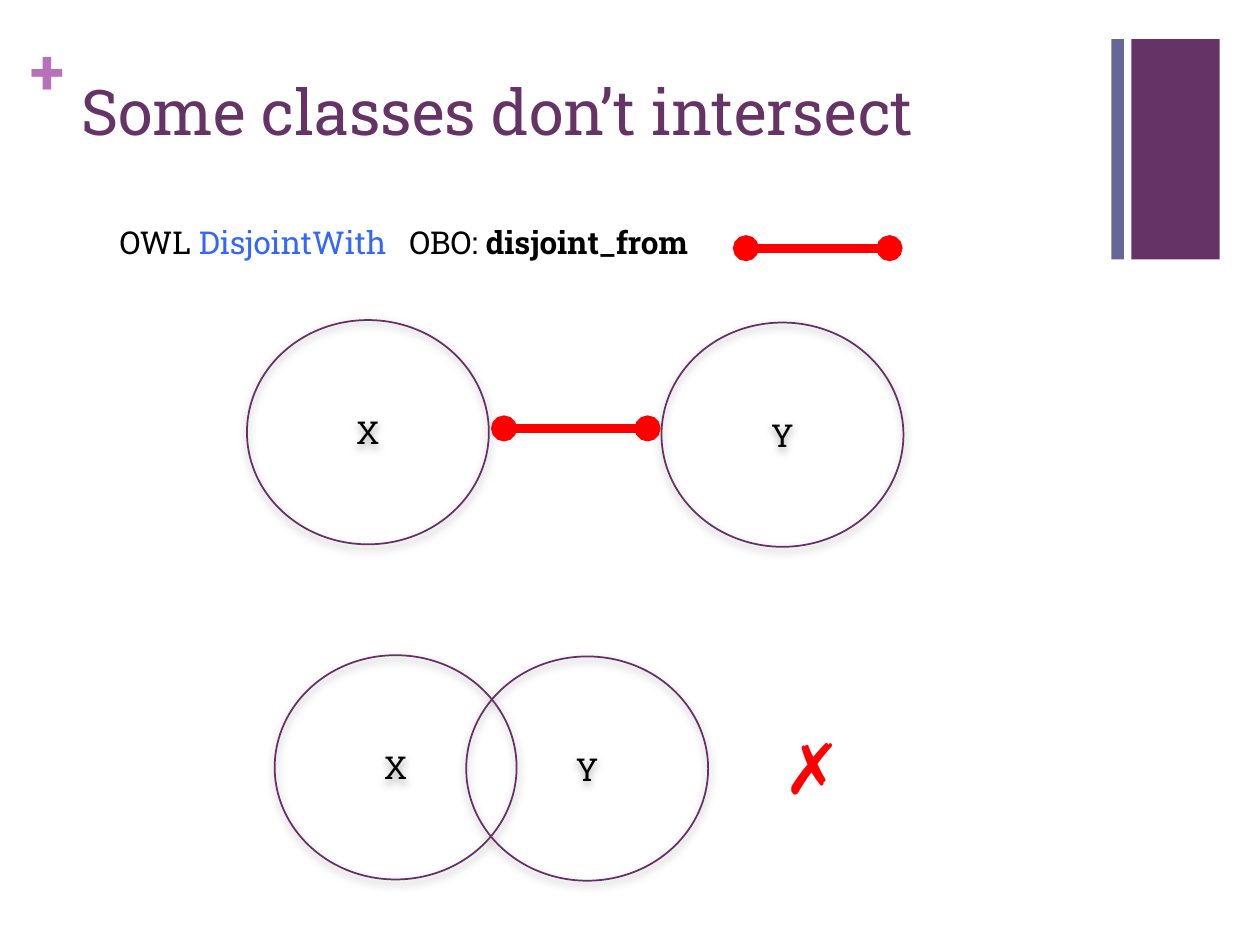
import dataclasses

import pptx
import pptx.dml.color
import pptx.enum.shapes
import pptx.enum.text
import pptx.oxml
import pptx.oxml.ns
import pptx.util

COLOURS = {
    "plum": "663366", "slate": "666699", "orchid": "B870B8",
    "outline": "653165", "shadow": "808080", "red": "FF0000",
    "blue": "3366FF", "black": "000000",
}
FONT = "Roboto Slab"
DRAWING_NS = pptx.oxml.ns.nsdecls("a")
SHAPES = pptx.enum.shapes.MSO_SHAPE

# The slide is a grid of 100 columns by 75 rows
deck = pptx.Presentation()
deck.slide_width = pptx.util.Inches(10)
deck.slide_height = pptx.util.Inches(7.5)
page = deck.slides.add_slide(deck.slide_layouts[6])
COLUMN = deck.slide_width / 100
ROW = deck.slide_height / 75

CIRCLE_WIDTH, CIRCLE_HEIGHT = 19.2, 17.8
LINK_LENGTH = 11.4


@dataclasses.dataclass
class Area:
    left: float
    top: float
    width: float
    height: float

    def lengths(self) -> tuple:
        return (round(self.left * COLUMN), round(self.top * ROW),
                round(self.width * COLUMN), round(self.height * ROW))


@dataclasses.dataclass
class ClassCircle:
    label: str
    left: float
    top: float


def colour(name: str) -> pptx.dml.color.RGBColor:
    return pptx.dml.color.RGBColor.from_string(COLOURS[name])


def add_span(para, text: str, *, size: float = 18, ink: str = "black",
             bold: bool = False, font: str = FONT) -> None:
    span = para.add_run()
    span.text = text
    span.font.size = pptx.util.Pt(size)
    span.font.name = font
    span.font.bold = bold
    span.font.color.rgb = colour(ink)


def add_box(area: Area, inset: bool = True):
    """Add a wrapping text box and return its first paragraph."""
    frame = page.shapes.add_textbox(*area.lengths()).text_frame
    frame.word_wrap = True
    if not inset:
        frame.margin_left = frame.margin_right = 0
        frame.margin_top = frame.margin_bottom = 0
    return frame.paragraphs[0]


def add_bar(area: Area, fill: str) -> None:
    bar = page.shapes.add_shape(SHAPES.RECTANGLE, *area.lengths())
    bar.shadow.inherit = False
    bar.fill.solid()
    bar.fill.fore_color.rgb = colour(fill)
    bar.line.fill.background()


def add_circle(circle: ClassCircle) -> None:
    area = Area(circle.left, circle.top, CIRCLE_WIDTH, CIRCLE_HEIGHT)
    oval = page.shapes.add_shape(SHAPES.OVAL, *area.lengths())
    oval.fill.background()
    oval.line.color.rgb = colour("outline")
    oval.line.width = pptx.util.Pt(1)
    oval.shadow.inherit = False
    effects = oval._element.spPr.find(pptx.oxml.ns.qn("a:effectLst"))
    effects.append(pptx.oxml.parse_xml(
        f'<a:outerShdw {DRAWING_NS} blurRad="{pptx.util.Pt(5)}" '
        f'dist="{pptx.util.Pt(2)}" dir="5400000" rotWithShape="0">'
        f'<a:srgbClr val="{COLOURS["shadow"]}"><a:alpha val="75000"/>'
        '</a:srgbClr></a:outerShdw>'))
    oval.text_frame.vertical_anchor = pptx.enum.text.MSO_ANCHOR.MIDDLE
    para = oval.text_frame.paragraphs[0]
    para.alignment = pptx.enum.text.PP_ALIGN.CENTER
    add_span(para, circle.label)


def add_disjoint_link(left: float, top: float) -> None:
    x, y, length, _ = Area(left, top, LINK_LENGTH, 0).lengths()
    link = page.shapes.add_connector(
        pptx.enum.shapes.MSO_CONNECTOR.STRAIGHT, x, y, x + length, y)
    link.line.color.rgb = colour("red")
    link.line.width = pptx.util.Pt(5)
    for end in ("headEnd", "tailEnd"):
        link.line._get_or_add_ln().append(
            pptx.oxml.parse_xml(f'<a:{end} {DRAWING_NS} type="oval"/>'))
    link._element.spPr.append(
        pptx.oxml.parse_xml(f"<a:effectLst {DRAWING_NS}/>"))


# Corner decoration
add_bar(Area(89.8, 3.1, 7, 17.5), "plum")
add_bar(Area(88.2, 3.1, 1, 17.5), "slate")
add_span(add_box(Area(2.4, 2.5, 2.9, 6.1), inset=False), "+",
         size=36, ink="orchid", bold=True)

# Title
add_span(add_box(Area(5.5, 5.3, 82.6, 12.2)),
         "Some classes don’t intersect", size=36, ink="plum")

# Names of the relation, the second one at a tab stop
key = add_box(Area(8.5, 17.2, 47.9, 4))
key._p.get_or_add_pPr().append(pptx.oxml.parse_xml(
    f'<a:tabLst {DRAWING_NS}><a:tab pos="{round(23 * COLUMN)}" algn="l"/>'
    '</a:tabLst>'))
add_span(key, "OWL ")
add_span(key, "DisjointWith\t", ink="blue")
add_span(key, "OBO: ")
add_span(key, "disjoint_from", bold=True)

# Disjoint pair above, overlapping pair below
for class_circle in (
    ClassCircle("X", 19.6, 25.4), ClassCircle("Y", 52.5, 25.6),
    ClassCircle("X", 21.8, 52), ClassCircle("Y", 37, 52.1),
):
    add_circle(class_circle)

# Links in the key and between the disjoint classes
add_disjoint_link(59.2, 19.7)
add_disjoint_link(40, 34)

# Mark against the overlap
add_span(add_box(Area(61.2, 57, 4, 14.5)), "✗",
         size=40, ink="red", font="Arial")

deck.save("out.pptx")
